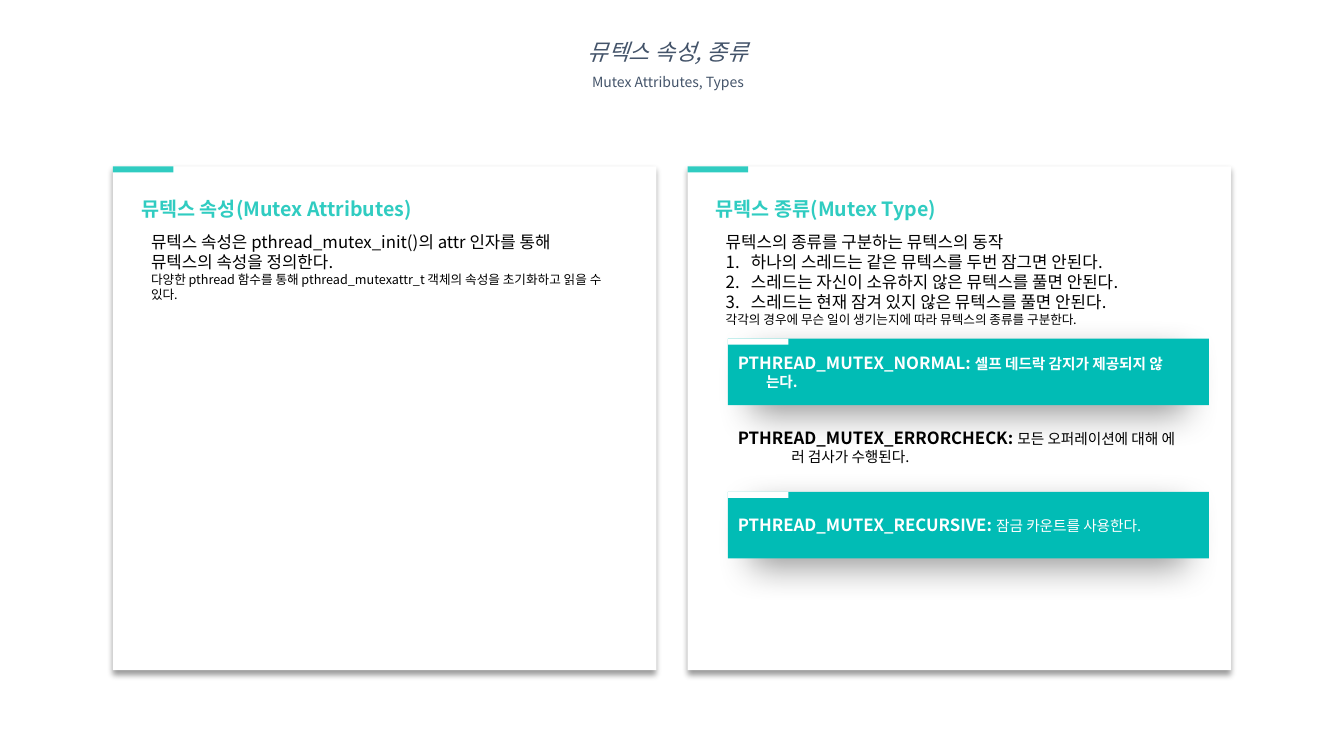
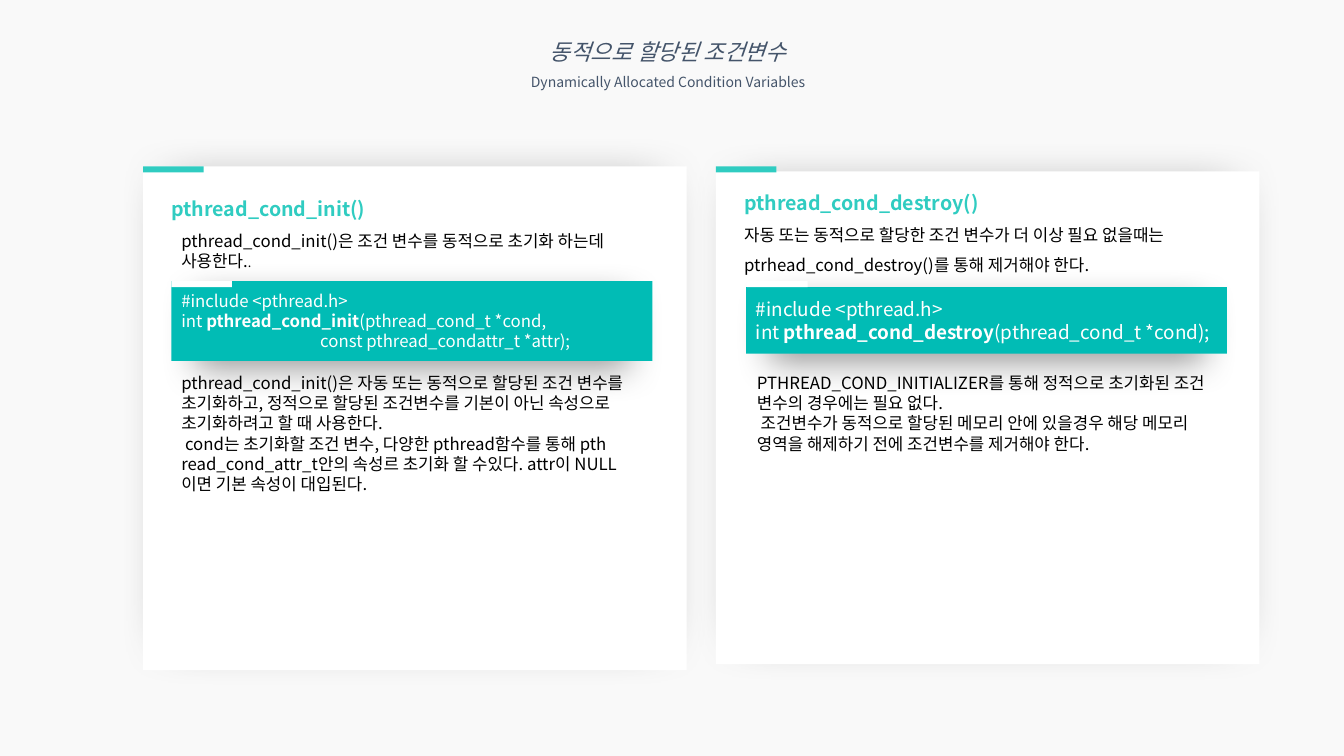
from lxml.etree import SubElement
from pptx import Presentation
from pptx.dml.color import RGBColor
from pptx.enum.shapes import MSO_SHAPE
from pptx.enum.text import MSO_ANCHOR, MSO_AUTO_SIZE, PP_ALIGN
from pptx.oxml.ns import qn
from pptx.util import Inches, Pt

HUES = {"bg": "FFFFFF", "pale": "F9F9F9", "white": "FFFFFF", "black": "000000",
        "title": "44546A", "mint": "30CCC1", "teal": "01BCB5"}
FONT = "Noto Sans CJK KR"
# Shadows: blur and distance in points, scale in percent
SOFT, DEEP, WIDE = (4, 3, 100), (26, 11, 90), (36, 13, 90)
# Grid: 133.3 columns by 75 rows of a tenth of an inch
COLS, ROWS, UNIT = 133.3, 75, 0.1
CARD_W, BOX_W, TAB_W, TAB_H, PAD = 53.9, 47.7, 6, 0.6, 2.8
TOP = 16.5


def grid(*cells):
    return [Inches(round(c * UNIT, 2)) for c in cells]


class Deck:
    def __init__(self):
        self.prs = Presentation()
        self.prs.slide_width, self.prs.slide_height = grid(COLS, ROWS)
        self.slide = None

    # Slide with a two-line title
    def page(self, bg, head, sub):
        self.slide = self.prs.slides.add_slide(self.prs.slide_layouts[5])
        fill = self.slide.background.fill
        fill.solid()
        fill.fore_color.rgb = RGBColor.from_string(HUES[bg])
        box = self.slide.shapes.title
        box.left, box.top, box.width, box.height = grid(39.3, 2, 53.9, 7.2)
        self.words(box, [[(head, 16, "i")], [(sub, 10)]], "title", gap=1.5,
                   align=PP_ALIGN.CENTER)

    # Paragraphs are lists of runs: (text, size, marks)
    def words(self, box, paras, hue, gap=1.0, align=PP_ALIGN.LEFT,
              anchor=MSO_ANCHOR.TOP, hang=0, nums=(), pad=(1, 0.5)):
        frame = box.text_frame
        frame.word_wrap = True
        frame.auto_size = MSO_AUTO_SIZE.NONE
        frame.vertical_anchor = anchor
        frame.margin_left, frame.margin_top = grid(*pad)
        frame.margin_right, frame.margin_bottom = grid(pad[0], 0.5)
        for i, runs in enumerate(paras):
            para = frame.paragraphs[0] if i == 0 else frame.add_paragraph()
            para.alignment, para.line_spacing = align, gap
            props = para._p.get_or_add_pPr()
            dent = 2.5 if i in nums else hang
            if dent:
                props.set("marL", str(grid(dent)[0]))
                props.set("indent", str(-grid(dent)[0]))
            if i in nums:
                SubElement(props, qn("a:buAutoNum"), type="arabicPeriod")
            for run in runs:
                self.piece(para, hue, *run)

    def piece(self, para, hue, text, size, marks=""):
        for i, part in enumerate(text.split("\n")):
            if i:
                para.add_line_break()
            run = para.add_run()
            run.text = part
            font = run.font
            font.size, font.bold, font.italic = Pt(size), "b" in marks, "i" in marks
            font.color.rgb = RGBColor.from_string(HUES["mint" if "m" in marks else hue])
            font.name = FONT
            SubElement(run._r.get_or_add_rPr(), qn("a:ea"), typeface=FONT)

    # Plain rectangle, with a shadow if one is given
    def rect(self, x, y, w, h, hue, shade=None):
        box = self.slide.shapes.add_shape(MSO_SHAPE.RECTANGLE, *grid(x, y, w, h))
        box.fill.solid()
        box.fill.fore_color.rgb = RGBColor.from_string(HUES[hue])
        box.line.fill.background()
        box.shadow.inherit = False
        if shade:
            blur, dist, scale = shade
            size = str(scale * 1000)
            drop = SubElement(box._element.spPr.find(qn("a:effectLst")), qn("a:outerShdw"),
                              blurRad=str(Pt(blur)), dist=str(Pt(dist)), dir="5400000",
                              sx=size, sy=size, algn="t", rotWithShape="0")
            tint = SubElement(drop, qn("a:srgbClr"), val=HUES["black"])
            SubElement(tint, qn("a:alpha"), val="40000")
        return box

    def tab(self, x, y, hue):
        self.rect(x, y, TAB_W, TAB_H, hue)

    # White card with a mint tab and heading
    def card(self, x, head, shade, y=TOP, h=50, drop=1.9, more=()):
        box = self.rect(x, y, CARD_W, h, "white", shade)
        self.words(box, [[(head, 14, "bm")], *more], "black", gap=1.5, pad=(PAD, drop))
        self.tab(x, TOP, "mint")

    # Teal box with a white tab
    def band(self, x, y, h, paras, hang=0, tab=None):
        box = self.rect(x, y, BOX_W, h, "teal", DEEP)
        self.words(box, paras, "white", anchor=MSO_ANCHOR.MIDDLE, hang=hang)
        self.tab(*(tab or (x, y)), "white")

    def text(self, x, y, h, paras, **style):
        box = self.slide.shapes.add_textbox(*grid(x, y, BOX_W, h))
        self.words(box, paras, "black", **style)


def types(deck):
    left, right = 11.2, 68.2
    deck.page("bg", "뮤텍스 속성, 종류", "Mutex Attributes, Types")
    # Attributes
    deck.card(left, "뮤텍스 속성(Mutex Attributes)", SOFT)
    deck.text(left + PAD, 22.5, 8.1, [
        [("뮤텍스 속성은 pthread_mutex_init()의 attr 인자를 통해 뮤텍스의 속성을 정의한다.", 12)],
        [("다양한 pthread 함수를 통해 pthread_mutexattr_t 객체의 속성을 초기화하고 읽을 수 있다.", 9)]])
    # Kinds
    deck.card(right, "뮤텍스 종류(Mutex Type)", SOFT)
    deck.text(right + PAD, 22.5, 10.6, [
        [("뮤텍스의 종류를 구분하는 뮤텍스의 동작", 12)],
        [("하나의 스레드는 같은 뮤텍스를 두번 잠그면 안된다.", 12)],
        [("스레드는 자신이 소유하지 않은 뮤텍스를 풀면 안된다.", 12)],
        [("스레드는 현재 잠겨 있지 않은 뮤텍스를 풀면 안된다.", 12)],
        [("각각의 경우에 무슨 일이 생기는지에 따라 뮤텍스의 종류를 구분한다.", 9)]],
        nums=(1, 2, 3))
    inner = right + 4
    deck.band(inner, 33.6, 6.6, [[("PTHREAD_MUTEX_NORMAL: ", 12, "b"),
                                  ("셀프 데드락 감지가 제공되지 않\n는다.", 10.5, "b")]], hang=2.8)
    deck.text(inner, 41.9, 4.8, [[("PTHREAD_MUTEX_ERRORCHECK: ", 12, "b"),
                                  ("모든 오퍼레이션에 대해 에\n러 검사가 수행된다.", 10.5)]], hang=5.3)
    deck.band(inner, 48.8, 6.6, [[("PTHREAD_MUTEX_RECURSIVE: ", 12, "b"),
                                  ("잠금 카운트를 사용한다.", 10.5)]])


def conds(deck):
    left, right = 14.2, 71
    deck.page("pale", "동적으로 할당된 조건변수", "Dynamically Allocated Condition Variables")
    # Destroy
    deck.card(right, "pthread_cond_destroy()", WIDE, y=17, h=48.9, drop=0.8, more=[
        [("자동 또는 동적으로 할당한 조건 변수가 더 이상 필요 없을때는 "
          "ptrhead_cond_destroy()를 통해 제거해야 한다.", 12)]])
    deck.band(right + 3, 28.5, 6.6, [
        [("#include <pthread.h>", 13.5)],
        [("int ", 13.5), ("pthread_cond_destroy", 13.5, "b"),
         ("(pthread_cond_t *cond);", 13.5)]], tab=(right + 3.1, 27.9))
    deck.text(right + 3.1, 36.5, 17.2, [
        [("PTHREAD_COND_INITIALIZER를 통해 정적으로 초기화된 조건 변수의 경우에는 필요 없다.", 12)],
        [(" 조건변수가 동적으로 할당된 메모리 안에 있을경우 해당 메모리 영역을 "
          "해제하기 전에 조건변수를 제거해야 한다.", 12)]])
    # Init
    deck.card(left, "pthread_cond_init()", WIDE)
    inner = left + PAD
    deck.band(inner, 27.9, 7.9, [
        [("#include <pthread.h>", 12)],
        [("int ", 12), ("pthread_cond_init", 12, "b"), ("(pthread_cond_t *cond,", 12)],
        [("                                     const pthread_condattr_t *attr);", 12)]])
    deck.text(inner, 22.4, 5, [
        [("pthread_cond_init()은 조건 변수를 동적으로 초기화 하는데 사용한다.", 12), (".", 9)]])
    deck.text(inner, 36.5, 13.1, [
        [("pthread_cond_init()은 자동 또는 동적으로 할당된 조건 변수를 초기화하고, "
          "정적으로 할당된 조건변수를 기본이 아닌 속성으로 초기화하려고 할 때 사용한다.", 12)],
        [(" cond는 초기화할 조건 변수, 다양한 pthread함수를 통해 pth", 12)],
        [("read_cond_attr_t안의 속성르 초기화 할 수있다. attr이 NULL이면 기본 속성이 대입된다.", 12)]])


def main():
    deck = Deck()
    types(deck)
    conds(deck)
    deck.prs.save("out.pptx")


if __name__ == "__main__":
    main()
